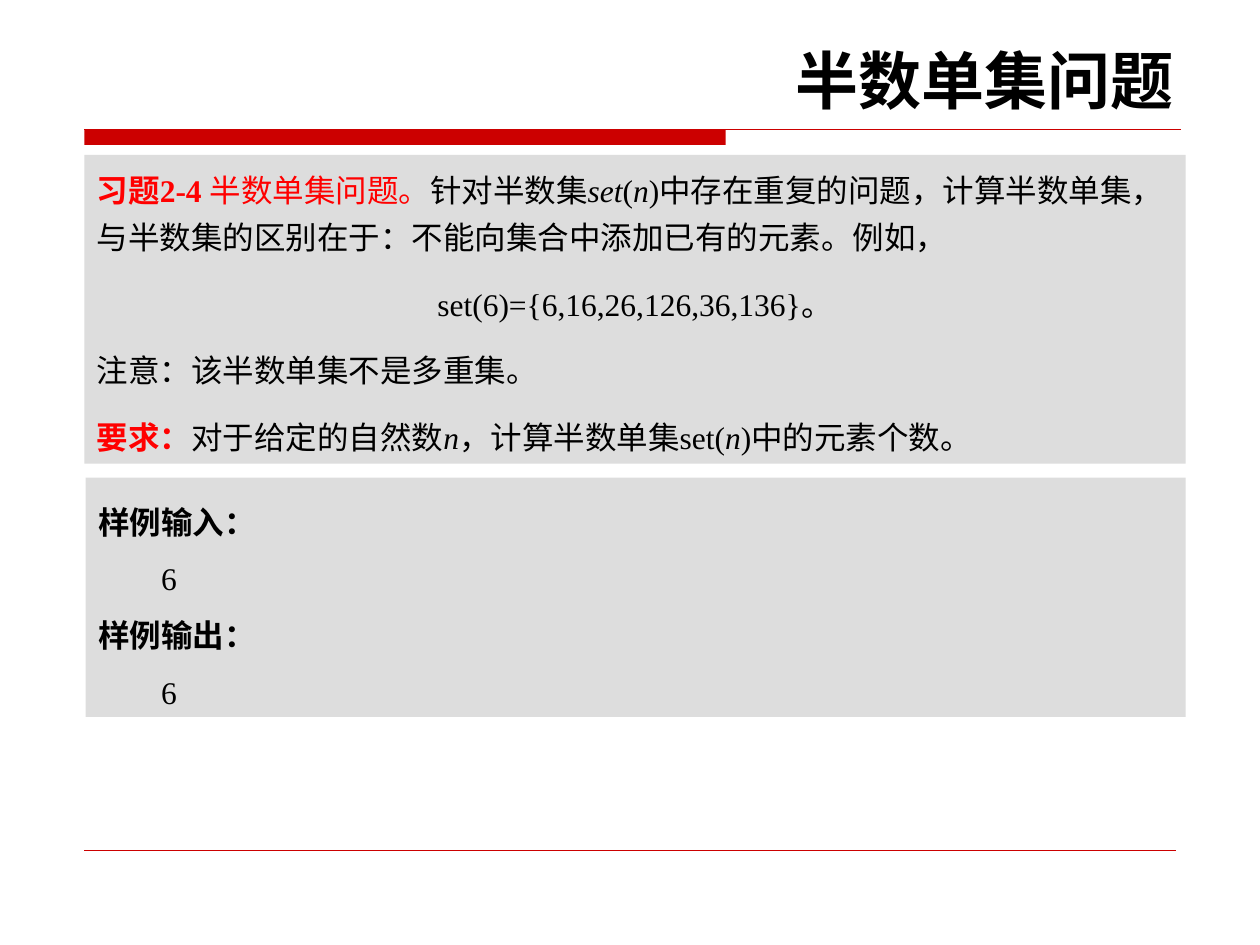
from lxml.etree import SubElement
from pptx import Presentation
from pptx.dml.color import RGBColor
from pptx.enum.shapes import MSO_CONNECTOR, MSO_SHAPE
from pptx.enum.text import MSO_ANCHOR, PP_ALIGN
from pptx.oxml.ns import qn
from pptx.util import Inches, Pt

WIDE, HIGH = Inches(10), Inches(7.5)
COLS, ROWS = 100, 75
BLACK = RGBColor(0x00, 0x00, 0x00)
BRIGHT = RGBColor(0xFF, 0x00, 0x00)
CRIMSON = RGBColor(0xCC, 0x00, 0x00)
GREY = RGBColor(0xDD, 0xDD, 0xDD)
SERIF, SANS = "Times New Roman", "DejaVu Sans"

TASK = [
    (PP_ALIGN.LEFT, [
        ("习题2-4 ", {"bold": True, "color": BRIGHT}),
        ("半数单集问题。", {"color": BRIGHT}),
        ("针对半数集", {}),
        ("set", {"italic": True}),
        ("(", {}),
        ("n", {"italic": True}),
        (")中存在重复的问题，计算半数单集，与半数集的区别在于：不能向集合中添加已有的元素。例如，", {}),
    ]),
    (PP_ALIGN.CENTER, [("set(6)={6,16,26,126,36,136}。", {})]),
    (PP_ALIGN.LEFT, [("注意：该半数单集不是多重集。", {})]),
    (PP_ALIGN.LEFT, [
        ("要求：", {"bold": True, "color": BRIGHT}),
        ("对于给定的自然数", {}),
        ("n", {"italic": True}),
        ("，计算半数单集set(", {}),
        ("n", {"italic": True}),
        (")中的元素个数。", {}),
    ]),
]
SAMPLE = [
    (PP_ALIGN.LEFT, [(text, {"bold": bold})])
    for head in ("样例输入：", "样例输出：")
    for text, bold in ((head, True), ("\t6", False))
]


def area(left, top, width, height):
    """Turn grid columns and rows into slide lengths."""
    col, row = WIDE / COLS, HIGH / ROWS
    return [int(n) for n in (left * col, top * row, width * col, height * row)]


def write(para, text, size=18, face=SERIF, color=BLACK, bold=False, italic=False):
    """Add a formatted run to a paragraph."""
    run = para.add_run()
    run.text = text
    font = run.font
    font.size, font.name = Pt(size), face
    font.bold, font.italic = bold, italic
    font.color.rgb = color


def block(slide, box):
    """Add a plain rectangle without outline or shadow."""
    shape = slide.shapes.add_shape(MSO_SHAPE.RECTANGLE, *box)
    shape.shadow.inherit = False
    shape.fill.solid()
    shape.line.fill.background()
    return shape


def rule(slide, left, top, width, weight):
    """Draw a level crimson line."""
    line = slide.shapes.add_connector(
        MSO_CONNECTOR.STRAIGHT, left, top, left + width, top)
    line.line.color.rgb = CRIMSON
    line.line.width = Pt(weight)
    SubElement(line._element.spPr, qn("a:effectLst"))


def banner(slide, box):
    """Draw the thick bar and the thin line under the title."""
    left, top, width, height = box
    bar = block(slide, (left, top, int(width * 0.585), height))
    bar.fill.fore_color.rgb = CRIMSON
    rule(slide, left, top, width, 0.75)


def heading(slide, box, text):
    """Place and fill the title placeholder."""
    title = slide.shapes.title
    title.left, title.top, title.width, title.height = box
    frame = title.text_frame
    frame.vertical_anchor = MSO_ANCHOR.MIDDLE
    para = frame.paragraphs[0]
    para.alignment = PP_ALIGN.RIGHT
    write(para, text, size=36, face=SANS, bold=True)


def panel(slide, box, paras, pitch, gap=0):
    """Fill a grey panel with paragraphs of runs."""
    shape = block(slide, box)
    shape.fill.fore_color.rgb = GREY
    frame = shape.text_frame
    frame.word_wrap = True
    frame.vertical_anchor = MSO_ANCHOR.TOP
    for num, (align, runs) in enumerate(paras):
        para = frame.add_paragraph() if num else frame.paragraphs[0]
        para.alignment, para.line_spacing = align, pitch
        para.space_before = Pt(gap if num else 0)
        for text, style in runs:
            write(para, text, **style)


def main():
    """Build the slide and save it."""
    deck = Presentation()
    deck.slide_width, deck.slide_height = WIDE, HIGH
    slide = deck.slides.add_slide(deck.slide_layouts[5])
    banner(slide, area(6.7, 10.3, 87, 1.2))
    heading(slide, area(5.1, 2.8, 89, 7), "半数单集问题")
    left, top, width, _ = area(6.7, 67.5, 86.6, 0)
    rule(slide, left, top, width, 0.25)
    panel(slide, area(6.7, 12.3, 87.4, 24.5), TASK, 1.25, gap=11.2)
    panel(slide, area(6.8, 37.9, 87.3, 19), SAMPLE, 1.5)
    deck.save("out.pptx")


if __name__ == "__main__":
    main()
